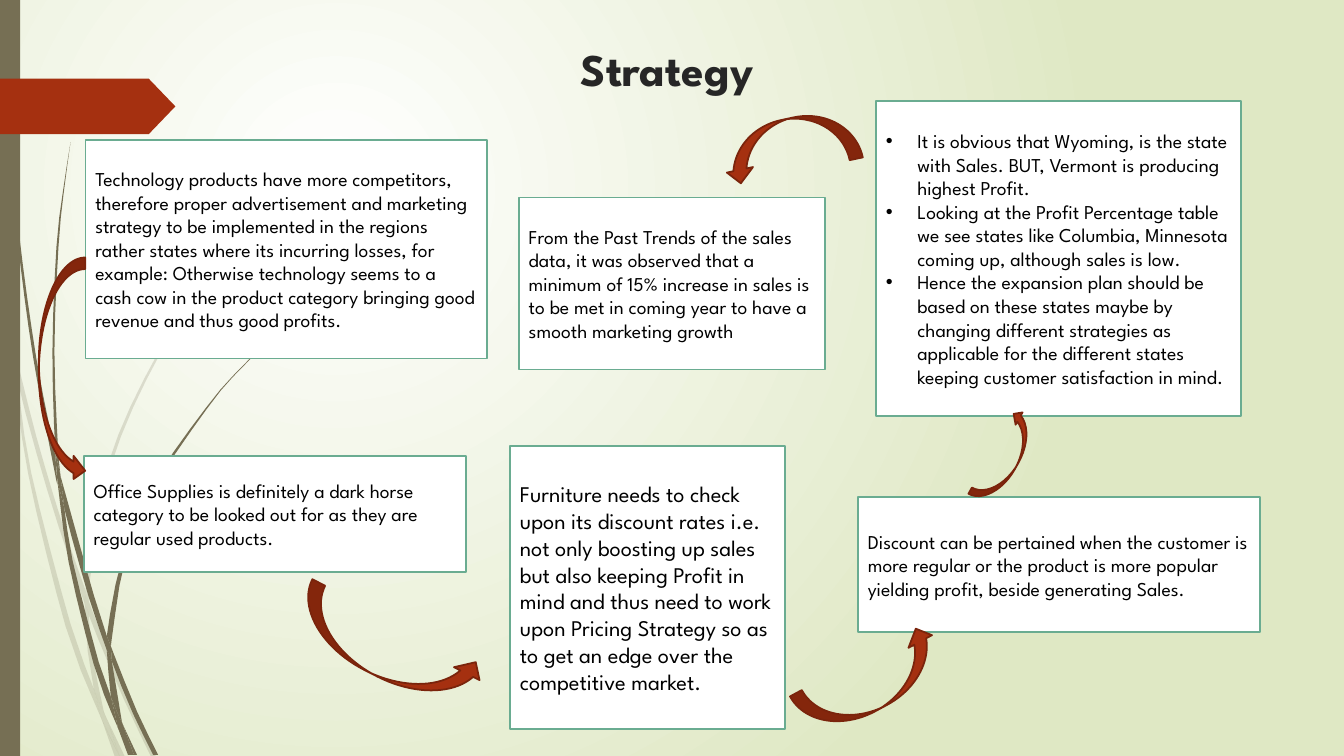
from math import ceil, dist
from lxml.etree import SubElement
from pptx import Presentation
from pptx.dml.color import RGBColor
from pptx.enum.shapes import MSO_SHAPE as Preset
from pptx.enum.text import MSO_ANCHOR as Anchor, PP_ALIGN as Align
from pptx.oxml.ns import qn
from pptx.util import Pt

COLORS = {
    "white": "FFFFFF", "meadow": "DFE8C4", "olive": "766F54", "rust": "A53010",
    "rust_edge": "7A240C", "green_edge": "6AAC91", "title": "262626", "text": "000000",
}
GRID = 0.72  # points per unit of the grass coordinates

# Each piece of grass: left edge and right edge, both from the top down.
PALE_GRASS = [
    ([(0, 299), (10, 344), (11, 350)], [(0, 282), (9, 322), (11, 350)]),
    ([(14, 345), (17, 376), (36, 449), (58, 522), (84, 599)],
     [(14, 345), (36, 433), (62, 520), (85, 586)]),
    ([(88, 596), (88, 610), (123, 694), (150, 751)], [(88, 596), (92, 607), (127, 692), (155, 751)]),
    ([(105, 711), (119, 751)], [(105, 711), (124, 751)]),
    ([(11, 350), (28, 470), (65, 621), (92, 693), (101, 714)],
     [(11, 350), (17, 376), (31, 469), (70, 619), (93, 683), (99, 707), (101, 714)]),
    ([(84, 599), (87, 646), (93, 683), (96, 692), (105, 711)],
     [(84, 599), (88, 608), (88, 610), (91, 646), (103, 706), (105, 711)]),
    ([(312, 153), (268, 197), (228, 244), (158, 348), (107, 461), (85, 584), (88, 596)],
     [(312, 154), (268, 198), (229, 245), (160, 349), (110, 462), (88, 584), (88, 596)]),
    ([(101, 714), (114, 751)], [(101, 714), (119, 751)]),
    ([(85, 586), (84, 599), (88, 608)], [(85, 586), (88, 596), (88, 610)]),
    ([(93, 683), (99, 707), (101, 714), (119, 751)], [(93, 683), (96, 692), (105, 711), (119, 751)]),
]
DARK_GRASS = [
    ([(3, 0), (4, 48), (7, 110), (17, 233), (33, 355), (56, 477), (57, 481)],
     [(4, 0), (5, 48), (8, 109), (19, 232), (36, 355), (55, 453), (57, 481)]),
    ([(60, 472), (64, 505), (88, 592), (106, 645)], [(60, 472), (93, 590), (106, 631), (106, 645)]),
    ([(110, 641), (111, 656), (132, 708), (152, 749)], [(110, 641), (113, 649), (136, 706), (157, 749)]),
    ([(57, 477), (68, 557), (93, 659), (111, 708), (117, 722)],
     [(57, 477), (64, 505), (72, 556), (98, 657), (110, 691), (116, 717), (117, 722)]),
    ([(70, 141), (62, 193), (56, 245), (52, 349), (55, 449), (60, 472)],
     [(70, 141), (63, 193), (58, 245), (54, 349), (58, 453), (60, 472)]),
    ([(122, 719), (133, 749)], [(122, 719), (136, 749)]),
    ([(55, 449), (55, 453), (57, 477), (64, 505)], [(55, 449), (60, 472), (64, 505)]),
    ([(260, 344), (231, 373), (204, 405), (156, 474), (122, 551), (106, 631), (110, 641)],
     [(261, 344), (231, 374), (205, 406), (158, 476), (125, 552), (111, 633), (110, 641)]),
    ([(117, 722), (127, 749)], [(117, 722), (131, 749)]),
    ([(106, 645), (110, 691), (116, 706), (122, 719)],
     [(106, 645), (109, 651), (111, 656), (121, 716), (122, 719)]),
    ([(106, 631), (106, 645), (111, 656)], [(106, 631), (110, 641), (111, 656)]),
    ([(110, 691), (116, 717), (117, 722), (130, 749)], [(110, 691), (116, 706), (122, 719), (133, 749)]),
]

CARDS = [
    ((61, 100, 287, 156.2), 14, [
        "Technology products have more competitors, therefore proper advertisement and marketing "
        "strategy to be implemented in the regions rather states where its incurring losses, for "
        "example: Otherwise technology seems to a cash cow in the product category bringing good "
        "revenue and thus good profits."]),
    ((625.7, 72, 260.8, 225.4), 14, [
        "It is obvious that Wyoming, is the state with Sales. BUT, Vermont is producing highest Profit.",
        "Looking at the Profit Percentage table we see states like Columbia, Minnesota coming up, "
        "although sales is low.",
        "Hence the expansion plan should be based on these states maybe by changing different "
        "strategies as applicable for the different states keeping customer satisfaction in mind."]),
    ((59.8, 325.6, 272.9, 83), 14, [
        "Office Supplies is definitely a dark horse category to be looked out for as they are "
        "regular used products."]),
    ((612.8, 355.2, 287.2, 96.5), 14, [
        "Discount can be pertained when the customer is more regular or the product is more popular "
        "yielding profit, beside generating Sales."]),
    ((370.6, 141, 218.9, 123), 14, [
        "From the Past Trends of the sales data, it was observed that a minimum of 15% increase in "
        "sales is to be met in coming year to have a smooth marketing growth"]),
    ((364.3, 318.8, 196.4, 201.8), 16, [
        "Furniture needs to check upon its discount rates i.e. not only boosting up sales but also "
        "keeping Profit in mind and thus need to work upon Pricing Strategy so as to get an edge "
        "over the competitive market."]),
]
ARROWS = [
    (Preset.CURVED_UP_ARROW, (-36, 247.7, 160.6, 33.1), 90),
    (Preset.CURVED_RIGHT_ARROW, (545, 54.7, 38.2, 98.6), 78),
    (Preset.CURVED_RIGHT_ARROW, (256.3, 393.4, 41, 141.1), 296.9),
    (Preset.CURVED_RIGHT_ARROW, (603.4, 432, 38.2, 111.6), 241.7),
    (Preset.CURVED_UP_ARROW, (682.6, 316.8, 70.6, 20.2), 299.5),
]


def rgb(name):
    """Return a named colour."""
    return RGBColor.from_string(COLORS[name])


def smooth(points):
    """Run a Catmull-Rom curve through the points, with more steps on long spans."""
    padded = [points[0], *points, points[-1]]
    curve = []
    for a, b, c, d in zip(padded, padded[1:], padded[2:], padded[3:]):
        steps = ceil(dist(b, c) / 40)
        for t in (step / steps for step in range(steps)):
            curve.append(tuple(
                q + t * (r - p) / 2 + t**2 * (2 * p - 5 * q + 4 * r - s) / 2
                + t**3 * (3 * q - p - 3 * r + s) / 2
                for p, q, r, s in zip(a, b, c, d)))
    return curve + [points[-1]]


def write(shape, texts, *, size, color="text", font="League Spartan", bold=False,
          align=Align.LEFT, anchor=Anchor.MIDDLE, bullets=False):
    """Fill a shape with formatted paragraphs."""
    frame = shape.text_frame
    frame.word_wrap = True
    frame.vertical_anchor = anchor
    for index, text in enumerate(texts):
        paragraph = frame.add_paragraph() if index else frame.paragraphs[0]
        paragraph.alignment = align
        run = paragraph.add_run()
        run.text = text
        run.font.name, run.font.size, run.font.bold = font, Pt(size), bold
        run.font.color.rgb = rgb(color)
        if bullets:
            properties = paragraph._p.get_or_add_pPr()
            properties.set("marL", str(Pt(22.5)))
            properties.set("indent", str(-Pt(22.5)))
            SubElement(properties, qn("a:buFont")).set("typeface", "Arial")
            SubElement(properties, qn("a:buChar")).set("char", "•")


class Deck:
    """Holds the style and the current slide."""

    line_width = 1.25

    def __init__(self, width, height):
        """Open a presentation with one blank slide."""
        self.presentation = Presentation()
        self.presentation.slide_width, self.presentation.slide_height = Pt(width), Pt(height)
        self.slide = self.presentation.slides.add_slide(self.presentation.slide_layouts[6])

    def background(self, inner, outer):
        """Paint a round gradient centred in the upper left."""
        fill = self.slide.background.fill
        fill.gradient()
        for stop, name in zip(fill.gradient_stops, (inner, outer)):
            stop.color.rgb = rgb(name)
        gradient = self.slide.element.find(".//" + qn("a:gradFill"))
        gradient.remove(gradient.find(qn("a:lin")))
        circle = SubElement(gradient, qn("a:path"), {"path": "circle"})
        SubElement(circle, qn("a:fillToRect"), {"l": "50000", "t": "50000", "r": "100000", "b": "100000"})

    def paint(self, shape, fill, line=None):
        """Apply fill and outline without a shadow."""
        shape.shadow.inherit = False
        shape.fill.solid()
        shape.fill.fore_color.rgb = rgb(fill)
        if line:
            shape.line.color.rgb = rgb(line)
            shape.line.width = Pt(self.line_width)
        else:
            shape.line.fill.background()
        return shape

    def shape(self, preset, box, fill, line=None, rotation=0):
        """Add a preset shape."""
        shape = self.slide.shapes.add_shape(preset, *map(Pt, box))
        shape.rotation = rotation
        return self.paint(shape, fill, line)

    def blade(self, left, right, fill, opacity=100):
        """Add a curved piece of grass between two edges."""
        outline = [(Pt(x * GRID), Pt(y * GRID)) for x, y in smooth(left) + smooth(right)[::-1]]
        builder = self.slide.shapes.build_freeform(*outline[0])
        builder.add_line_segments(outline[1:], close=True)
        shape = self.paint(builder.convert_to_shape(), fill)
        if opacity < 100:
            color = shape.fill._xPr.find(".//" + qn("a:srgbClr"))
            SubElement(color, qn("a:alpha")).set("val", str(opacity * 1000))

    def title(self, text, box):
        """Add the slide title."""
        shape = self.slide.shapes.add_textbox(*map(Pt, box))
        write(shape, [text], size=32.4, color="title", bold=True, align=Align.CENTER, anchor=Anchor.TOP)

    def card(self, box, size, texts):
        """Add a framed card, bulleted when it has several points."""
        shape = self.shape(Preset.RECTANGLE, box, "white", "green_edge")
        write(shape, texts, size=size, bullets=len(texts) > 1)


def main():
    """Build and save the strategy slide."""
    deck = Deck(960, 540)
    deck.background("white", "meadow")
    for blades, opacity in ((PALE_GRASS, 20), (DARK_GRASS, 100)):
        for left, right in blades:
            deck.blade(left, right, "olive", opacity)
    deck.shape(Preset.RECTANGLE, (0, 0, 14.4, 540), "olive")
    tag = deck.shape(Preset.PENTAGON, (0, 56.2, 125.3, 39.6), "rust")
    tag.adjustments[0] = 0.48
    deck.title("Strategy", (341.5, 25.9, 270, 38.2))
    for box, size, texts in CARDS:
        deck.card(box, size, texts)
    for preset, box, rotation in ARROWS:
        deck.shape(preset, box, "rust", "rust_edge", rotation)
    deck.presentation.save("out.pptx")


main()
